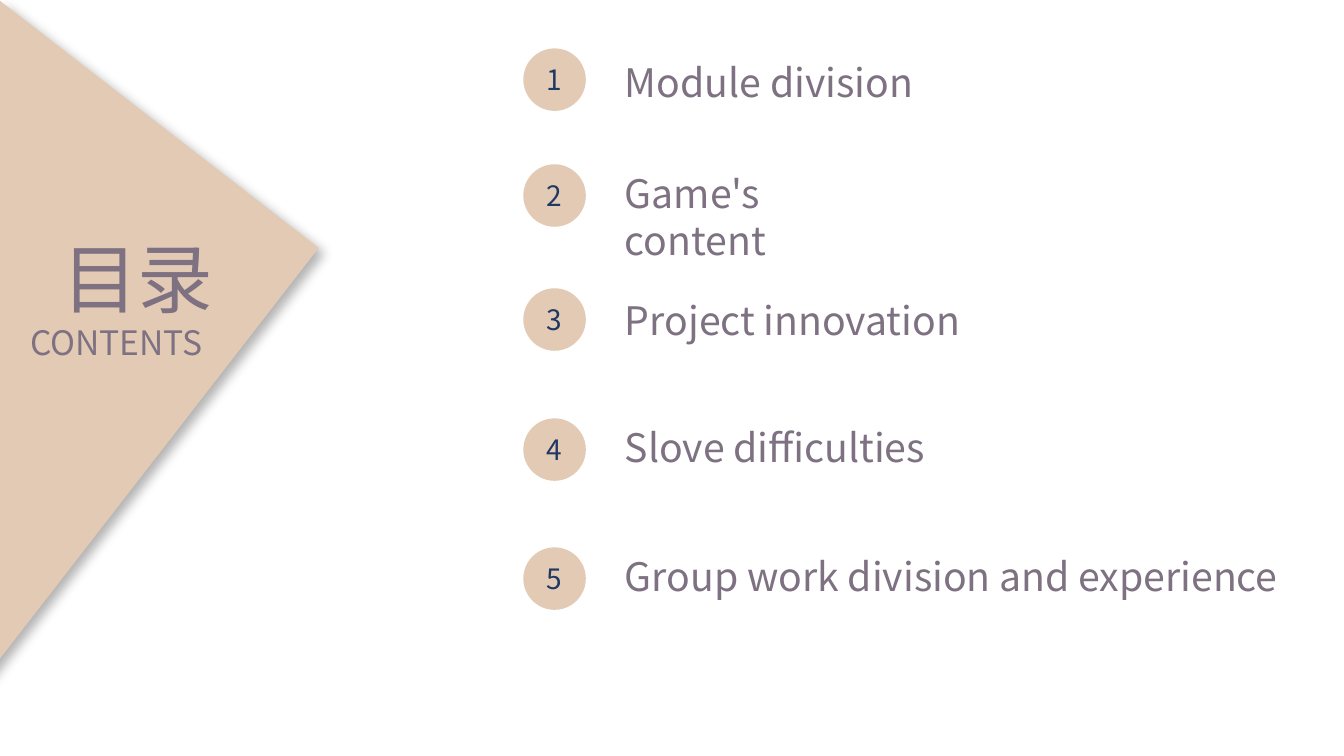
from dataclasses import dataclass

from lxml import etree
from pptx import Presentation
from pptx.dml.color import RGBColor
from pptx.enum import shapes, text
from pptx.oxml import ns
from pptx.util import Pt

PX = 9144  # 100 px to the inch


@dataclass(frozen=True)
class Theme:
    sand: str = "E3CAB4"
    mauve: str = "7E7182"
    navy: str = "203864"
    font: str = "Noto Sans CJK SC"
    title: int = 54
    sub: int = 24
    entry: int = 28
    digit: int = 20


@dataclass(frozen=True)
class Box:
    left: int
    top: int
    width: int
    height: int

    def emu(self) -> tuple[int, int, int, int]:
        return self.left * PX, self.top * PX, self.width * PX, self.height * PX


@dataclass(frozen=True)
class Entry:
    label: str
    dot: int
    top: int
    width: int


THEME = Theme()
ENTRIES = (
    Entry("Module division", 48, 53, 312),
    Entry("Game's content", 163, 163, 292),
    Entry("Project innovation", 286, 289, 391),
    Entry("Slove difficulties", 415, 415, 370),
    Entry("Group work division and experience", 543, 543, 681),
)


def write(shape, words: str, size: int, color: str) -> None:
    frame = shape.text_frame
    frame.word_wrap = True
    frame.text = words
    font = frame.paragraphs[0].font
    font.name, font.size = THEME.font, Pt(size)
    font.color.rgb = RGBColor.from_string(color)
    for run in frame.paragraphs[0].runs:
        props = run._r.get_or_add_rPr()
        for tag in ("a:latin", "a:ea"):
            etree.SubElement(props, ns.qn(tag), typeface=THEME.font)


def add_text(slide, box: Box, words: str, size: int) -> None:
    write(slide.shapes.add_textbox(*box.emu()), words, size, THEME.mauve)


def add_solid(slide, kind: shapes.MSO_SHAPE, box: Box):
    shape = slide.shapes.add_shape(kind, *box.emu())
    shape.shadow.inherit = False
    shape.fill.solid()
    shape.fill.fore_color.rgb = RGBColor.from_string(THEME.sand)
    shape.line.fill.background()
    return shape


def add_wedge(slide) -> None:
    """Draw the turned triangle with its soft shadow at the left edge."""
    wedge = add_solid(slide, shapes.MSO_SHAPE.RIGHT_TRIANGLE, Box(-319, 156, 591, 401))
    wedge.rotation = 127.8
    props = wedge._element.spPr
    props.find(ns.qn("a:xfrm")).set("flipV", "1")
    shade = etree.SubElement(
        props.find(ns.qn("a:effectLst")), ns.qn("a:outerShdw"),
        blurRad=str(Pt(8)), dist=str(Pt(6)), dir="2700000", algn="tl", rotWithShape="0")
    black = etree.SubElement(shade, ns.qn("a:srgbClr"), val="000000")
    etree.SubElement(black, ns.qn("a:alpha"), val="30000")


def add_entry(slide, number: int, entry: Entry) -> None:
    dot = add_solid(slide, shapes.MSO_SHAPE.OVAL, Box(519, entry.dot, 62, 62))
    write(dot, str(number), THEME.digit, THEME.navy)
    dot.text_frame.vertical_anchor = text.MSO_ANCHOR.MIDDLE
    dot.text_frame.paragraphs[0].alignment = text.PP_ALIGN.CENTER
    add_text(slide, Box(610, entry.top, entry.width, 57), entry.label, THEME.entry)


def main() -> None:
    deck = Presentation()
    deck.slide_width, deck.slide_height = 1333 * PX, 750 * PX
    slide = deck.slides.add_slide(deck.slide_layouts[6])
    add_wedge(slide)
    add_text(slide, Box(52, 225, 172, 101), "目录", THEME.title)
    add_text(slide, Box(20, 314, 205, 50), "CONTENTS", THEME.sub)
    for number, entry in enumerate(ENTRIES, 1):
        add_entry(slide, number, entry)
    deck.save("out.pptx")


if __name__ == "__main__":
    main()
